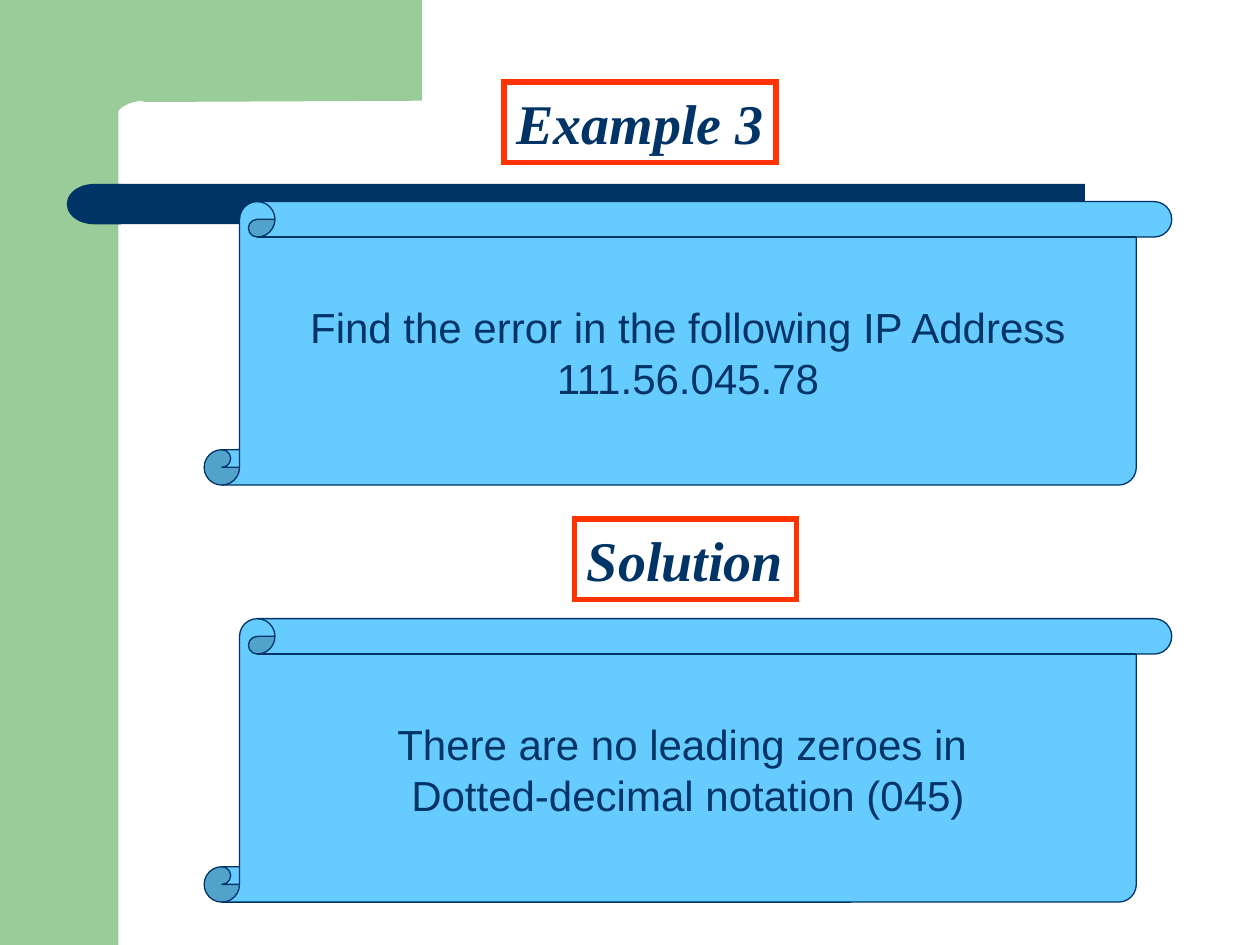
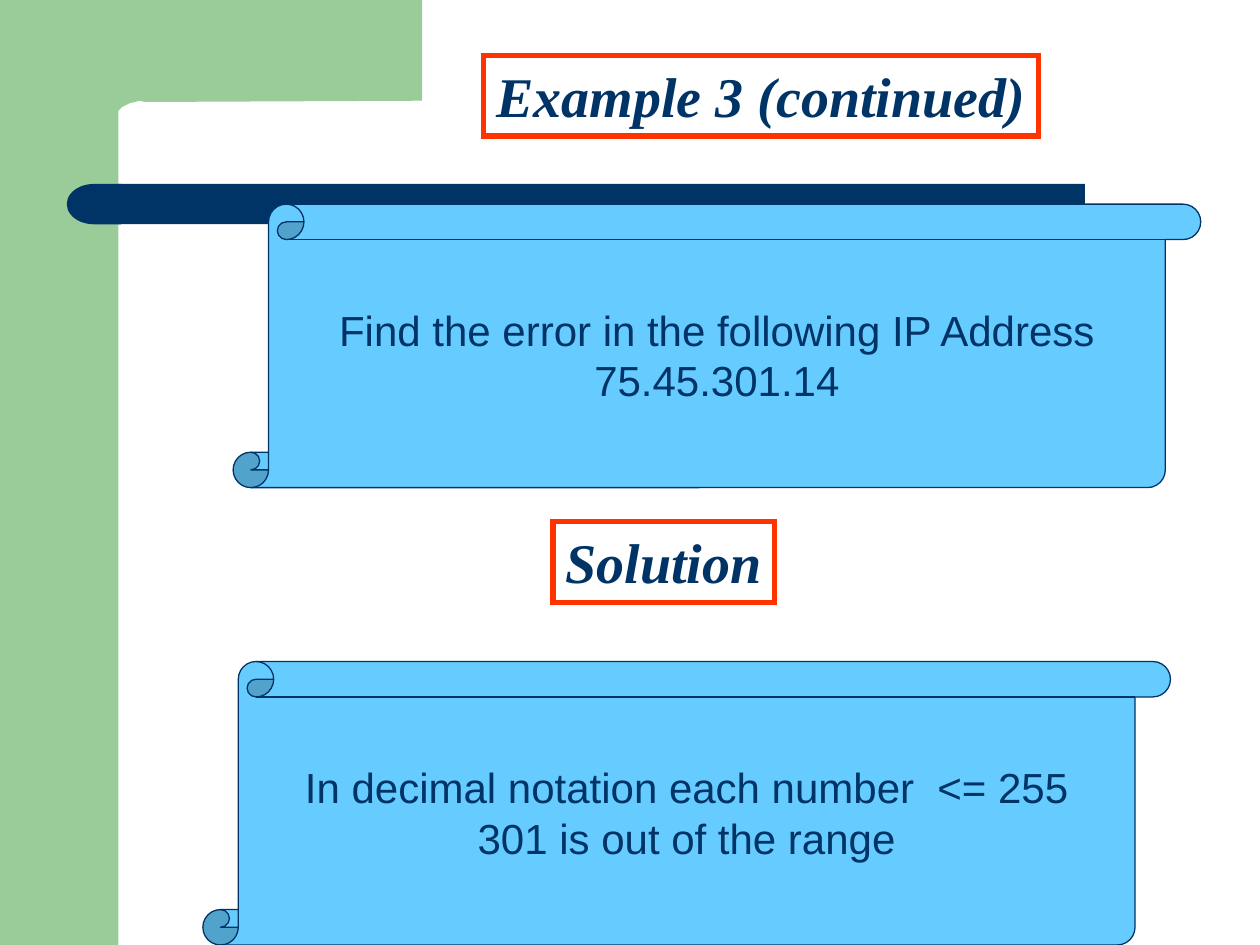
import lxml.etree
import pptx
import pptx.util
import pptx.dml.color
import pptx.enum.shapes
import pptx.enum.text
import pptx.oxml.ns

Inches = pptx.util.Inches
SHAPE = pptx.enum.shapes.MSO_SHAPE
ALIGN = pptx.enum.text.PP_ALIGN
ANCHOR = pptx.enum.text.MSO_ANCHOR
qn = pptx.oxml.ns.qn

GREEN, NAVY, SKY, RED, WHITE = "99CC99", "003366", "66CCFF", "FF3300", "FFFFFF"
LABEL_HEIGHT = 0.64
SCROLL_SIZE = (7.68, 2.25)
CORNER = [(3.35, 0), (3.35, 0.8), (1.15, 0.81), (1.11, 0.8), (1.03, 0.82),
          (0.97, 0.85), (0.93, 0.89), (0.89, 0.94), (0.87, 1), (0.85, 1.06),
          (0.85, 1.23), (0.53, 1.23), (0.53, 0)]


def rgb(color):
    return pptx.dml.color.RGBColor.from_string(color)


def paint(sp, fill, line=None, width=0.75):
    sp.fill.solid()
    sp.fill.fore_color.rgb = rgb(fill)
    if line:
        sp.line.color.rgb = rgb(line)
        sp.line.width = pptx.util.Pt(width)
    else:
        sp.line.fill.background()


def square_corners(sp):
    """Give the outline sharp instead of rounded joins."""
    ln = sp.element.spPr.find(qn("a:ln"))
    lxml.etree.SubElement(ln, qn("a:miter"), lim="800000")


def place(sp, box):
    sp.left, sp.top, sp.width, sp.height = map(Inches, box)


def add_shape(s, kind, box, fill, line=None):
    sp = s.shapes.add_shape(kind, *map(Inches, box))
    sp.shadow.inherit = False
    paint(sp, fill, line)
    return sp


def write(tf, lines, font="Arial", size=24, bold=False, italic=False,
          align=ALIGN.CENTER, anchor=ANCHOR.MIDDLE):
    tf.word_wrap = False
    tf.auto_size = pptx.enum.text.MSO_AUTO_SIZE.NONE
    tf.vertical_anchor = anchor
    for i, text in enumerate(lines):
        p = tf.paragraphs[0] if i == 0 else tf.add_paragraph()
        p.alignment = align
        r = p.add_run()
        r.text = text
        r.font.name = font
        r.font.size = pptx.util.Pt(size)
        r.font.bold = bold
        r.font.italic = italic
        r.font.color.rgb = rgb(NAVY)


def move_to_layout(sp, layout, index):
    """Put a drawn shape behind the layout's placeholders."""
    layout.shapes.element.insert(2 + index, sp.element)


def add_background(s):
    """Draw the side band, corner and title bar once, on the layout of s."""
    side = add_shape(s, SHAPE.RECTANGLE, (0, 0, 0.94, 7.5), GREEN)
    points = [(Inches(x), Inches(y)) for x, y in CORNER]
    builder = s.shapes.build_freeform(*points[0])
    builder.add_line_segments(points[1:], close=True)
    corner = builder.convert_to_shape()
    corner.shadow.inherit = False
    paint(corner, GREEN)
    bar = add_shape(s, SHAPE.RECTANGLE, (0.94, 1.46, 7.67, 0.32), NAVY)
    bar_end = add_shape(s, SHAPE.FLOWCHART_DELAY, (0.53, 1.46, 0.43, 0.32), NAVY)
    bar_end.rotation = 180
    for i, sp in enumerate((side, corner, bar, bar_end)):
        move_to_layout(sp, s.slide_layout, i)


def format_label(sp, text, box):
    """Give a title or heading its red frame and serif text."""
    place(sp, box)
    paint(sp, WHITE, RED, 3)
    square_corners(sp)
    tf = sp.text_frame
    tf.margin_left, tf.margin_right = Inches(0.1), 0
    write(tf, [text], font="Times New Roman", size=32, bold=True,
          italic=True, align=ALIGN.LEFT, anchor=ANCHOR.TOP)


def add_scroll(s, lines, left, top):
    sp = add_shape(s, SHAPE.VERTICAL_SCROLL, (left, top, *SCROLL_SIZE), SKY, NAVY)
    write(sp.text_frame, lines)


def fill_example(s, title, title_box, heading_at, question, question_at,
                 answer, answer_at):
    format_label(s.shapes.title, title, title_box)
    heading = s.shapes.add_textbox(0, 0, 0, 0)
    format_label(heading, "Solution", (*heading_at, 1.76, LABEL_HEIGHT))
    add_scroll(s, ["Find the error in the following IP Address", question],
               *question_at)
    add_scroll(s, answer, *answer_at)


def main():
    prs = pptx.Presentation()
    prs.slide_width, prs.slide_height = Inches(10), Inches(7.5)
    layout = prs.slide_layouts[5]

    s = prs.slides.add_slide(layout)
    add_background(s)
    fill_example(s, "Example 3", (4, 0.65, 2.16, LABEL_HEIGHT), (4.56, 4.12),
                 "111.56.045.78", (1.62, 1.6),
                 ["There are no leading zeroes in ",
                  "Dotted-decimal notation (045)"], (1.62, 4.91))

    s = prs.slides.add_slide(layout)
    fill_example(s, "Example 3 (continued)", (3.84, 0.44, 4.4, LABEL_HEIGHT),
                 (4.39, 4.14), "75.45.301.14", (1.85, 1.62),
                 ["In decimal notation each number  <= 255",
                  "301 is out of the range"], (1.61, 5.25))

    prs.save("out.pptx")


if __name__ == "__main__":
    main()
